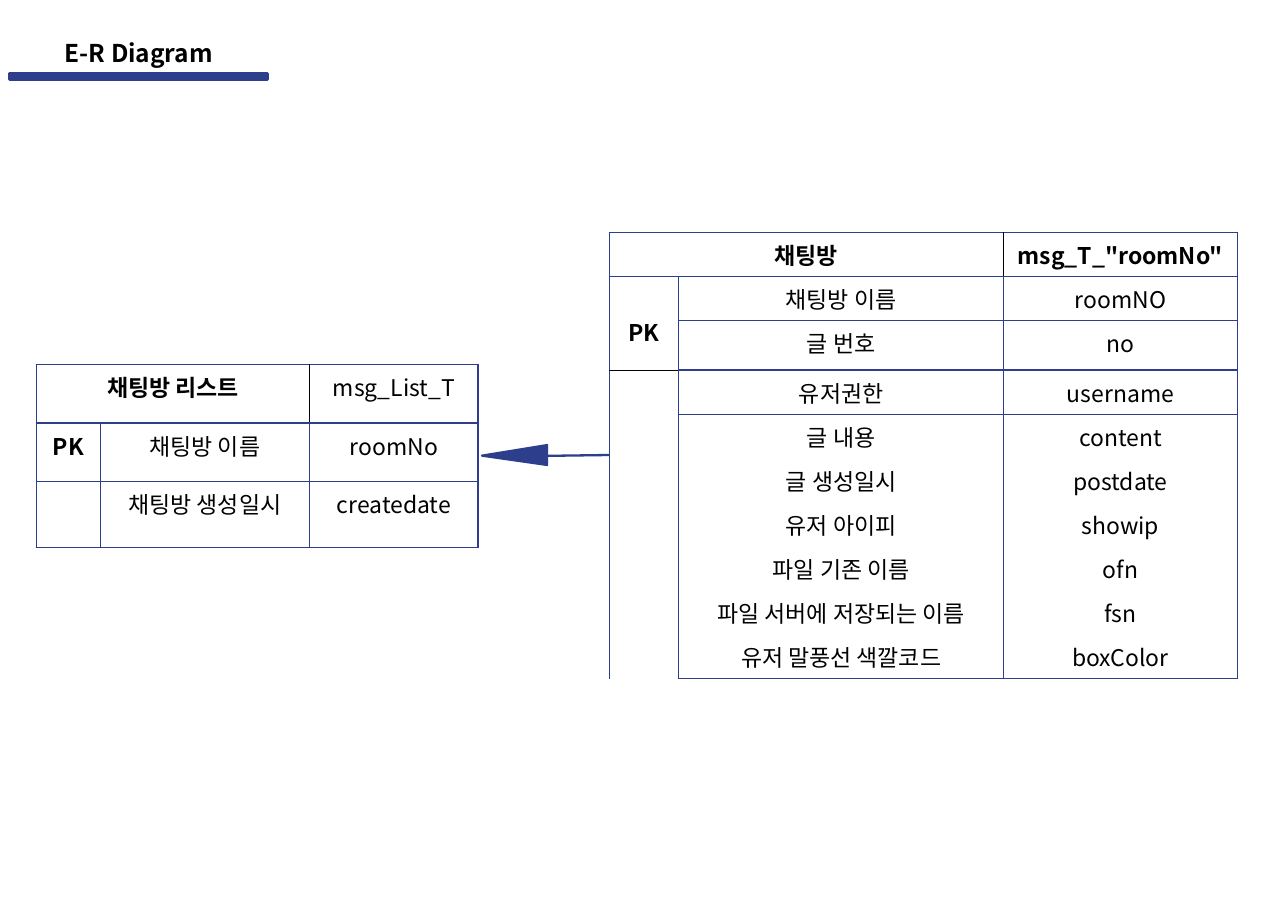
import pptx
import pptx.dml.color
import pptx.enum.shapes
import pptx.enum.text
import pptx.oxml
import pptx.oxml.ns
import pptx.util
import lxml.etree

SLIDE_WIDTH, SLIDE_HEIGHT = 11.69, 8.26
FONT = "Noto Sans CJK KR"
NAVY, BLACK, WHITE = "2C3E8C", "000000", "FFFFFF"
NO_TABLE_STYLE = "{2D5ABB26-0587-4C30-8999-92F81FD0307C}"

TITLE = "E-R Diagram"
TITLE_LEFT, TITLE_TOP, TITLE_WIDTH, TITLE_HEIGHT = 0.09, 0.3, 2.34, 0.37
RULE_HEIGHT = 0.05

# Cells are (row, column); merges pair a first cell with a last cell.
ROOM_LIST = {
    "rows": [
        ("채팅방 리스트", "", "msg_List_T"),
        ("PK", "채팅방 이름", "roomNo"),
        ("", "채팅방 생성일시", "createdate"),
    ],
    "left": 0.33, "top": 3.31,
    "widths": [0.58, 1.9, 1.53],
    "heights": [0.53, 0.53, 0.6],
    "merges": [((0, 0), (0, 1))],
    "bold": {(0, 0), (1, 0)},
    "fill": None,
    "thin": set(),
    "first_open_row": 3,
}
ROOM = {
    "rows": [
        ("채팅방", "", 'msg_T_"roomNo"'),
        ("PK", "채팅방 이름", "roomNO"),
        ("", "글 번호", "no"),
        ("", "유저권한", "username"),
        ("", "글 내용", "content"),
        ("", "글 생성일시", "postdate"),
        ("", "유저 아이피", "showip"),
        ("", "파일 기존 이름", "ofn"),
        ("", "파일 서버에 저장되는 이름", "fsn"),
        ("", "유저 말풍선 색깔코드", "boxColor"),
    ],
    "left": 5.53, "top": 2.11,
    "widths": [0.63, 2.95, 2.12],
    "heights": [0.4, 0.4, 0.45] + [0.4] * 7,
    "merges": [((0, 0), (0, 1)), ((1, 0), (2, 0)), ((3, 0), (9, 0))],
    "bold": {(0, 0), (0, 2), (1, 0)},
    "fill": WHITE,
    "thin": {(1, 0, "B"), (2, 0, "B"), (3, 0, "T")},
    "first_open_row": 3,
}
HEADER_DIVIDER = {(0, 0, "R"), (0, 1, "R"), (0, 2, "L")}

ARROW_Y = 4.13
ARROW_WIDTH, ARROW_LENGTH = 0.18, 0.59
ARROW_CENTER = 4.67


def inches(*lengths):
    return [pptx.util.Inches(length) for length in lengths]


def color(value):
    return pptx.dml.color.RGBColor.from_string(value)


def style_text(paragraph, size, bold):
    paragraph.alignment = pptx.enum.text.PP_ALIGN.CENTER
    font = paragraph.font
    font.size = pptx.util.Pt(size)
    font.bold = bold
    font.name = FONT
    font.color.rgb = color(BLACK)
    latin = font._element.find(pptx.oxml.ns.qn("a:latin"))
    east_asian = lxml.etree.Element(pptx.oxml.ns.qn("a:ea"), typeface=FONT)
    latin.addnext(east_asian)


def add_border(cell, side, value, width):
    properties = cell._tc.get_or_add_tcPr()
    properties.append(pptx.oxml.parse_xml(
        f'<a:ln{side} {pptx.oxml.ns.nsdecls("a")} w="{pptx.util.Pt(width)}">'
        f'<a:solidFill><a:srgbClr val="{value}"/></a:solidFill></a:ln{side}>'))


def add_borders(cell, row, column, entity):
    """Draw the cell's sides; attribute rows have no lines between them."""
    first_open, last_row = entity["first_open_row"], len(entity["rows"]) - 1
    thin = entity["thin"] | HEADER_DIVIDER
    for side in "LRTB":
        if side == "T" and row > first_open:
            continue
        if side == "B" and first_open <= row < last_row:
            continue
        if (row, column, side) in thin:
            add_border(cell, side, BLACK, 0.45)
        else:
            add_border(cell, side, NAVY, 1.08)


def add_entity(slide, entity):
    rows, widths, heights = entity["rows"], entity["widths"], entity["heights"]
    frame = slide.shapes.add_table(
        len(rows), len(widths),
        *inches(entity["left"], entity["top"], sum(widths), sum(heights)))
    table = frame.table
    table.first_row = table.horz_banding = False
    table._tbl.tblPr.find(pptx.oxml.ns.qn("a:tableStyleId")).text = NO_TABLE_STYLE
    for column, width in zip(table.columns, inches(*widths)):
        column.width = width
    for table_row, height in zip(table.rows, inches(*heights)):
        table_row.height = height
    for row, texts in enumerate(rows):
        for column, text in enumerate(texts):
            cell = table.cell(row, column)
            cell.text = text
            style_text(cell.text_frame.paragraphs[0], 15, (row, column) in entity["bold"])
            add_borders(cell, row, column, entity)
            if entity["fill"]:
                cell.fill.solid()
                cell.fill.fore_color.rgb = color(entity["fill"])
            else:
                cell.fill.background()
    for first, last in entity["merges"]:
        table.cell(*first).merge(table.cell(*last))
    return table


def add_navy_shape(slide, kind, left, top, width, height, line_width):
    shape = slide.shapes.add_shape(kind, *inches(left, top, width, height))
    shape.shadow.inherit = False
    shape.fill.solid()
    shape.fill.fore_color.rgb = color(NAVY)
    shape.line.color.rgb = color(NAVY)
    shape.line.width = pptx.util.Pt(line_width)
    return shape


def add_title(slide):
    add_navy_shape(slide, pptx.enum.shapes.MSO_SHAPE.RECTANGLE, TITLE_LEFT,
                   TITLE_TOP + TITLE_HEIGHT, TITLE_WIDTH, RULE_HEIGHT, 2)
    box = slide.shapes.add_textbox(
        *inches(TITLE_LEFT, TITLE_TOP, TITLE_WIDTH, TITLE_HEIGHT))
    box.text_frame.word_wrap = True
    box.text_frame.text = TITLE
    style_text(box.text_frame.paragraphs[0], 16, True)


def add_relation(slide):
    head = add_navy_shape(
        slide, pptx.enum.shapes.MSO_SHAPE.ISOSCELES_TRIANGLE,
        ARROW_CENTER - ARROW_WIDTH / 2, ARROW_Y - ARROW_LENGTH / 2,
        ARROW_WIDTH, ARROW_LENGTH, 1.5)
    head.adjustments[0] = 0.47
    head.rotation = 270
    line = slide.shapes.add_connector(
        pptx.enum.shapes.MSO_CONNECTOR.STRAIGHT,
        *inches(ROOM["left"], ARROW_Y, 4.81, ARROW_Y + 0.01))
    line.line.color.rgb = color(NAVY)
    line.line.width = pptx.util.Pt(1.5)
    lxml.etree.SubElement(line._element.spPr, pptx.oxml.ns.qn("a:effectLst"))


def main():
    presentation = pptx.Presentation()
    presentation.slide_width, presentation.slide_height = inches(SLIDE_WIDTH, SLIDE_HEIGHT)
    slide = presentation.slides.add_slide(presentation.slide_layouts[6])
    add_title(slide)
    add_entity(slide, ROOM_LIST)
    room = add_entity(slide, ROOM)
    key_cell = room.cell(1, 0)
    key_cell.vertical_anchor = pptx.enum.text.MSO_ANCHOR.MIDDLE
    key_cell.margin_top = pptx.util.Inches(0.2)
    add_relation(slide)
    presentation.save("out.pptx")


if __name__ == "__main__":
    main()
